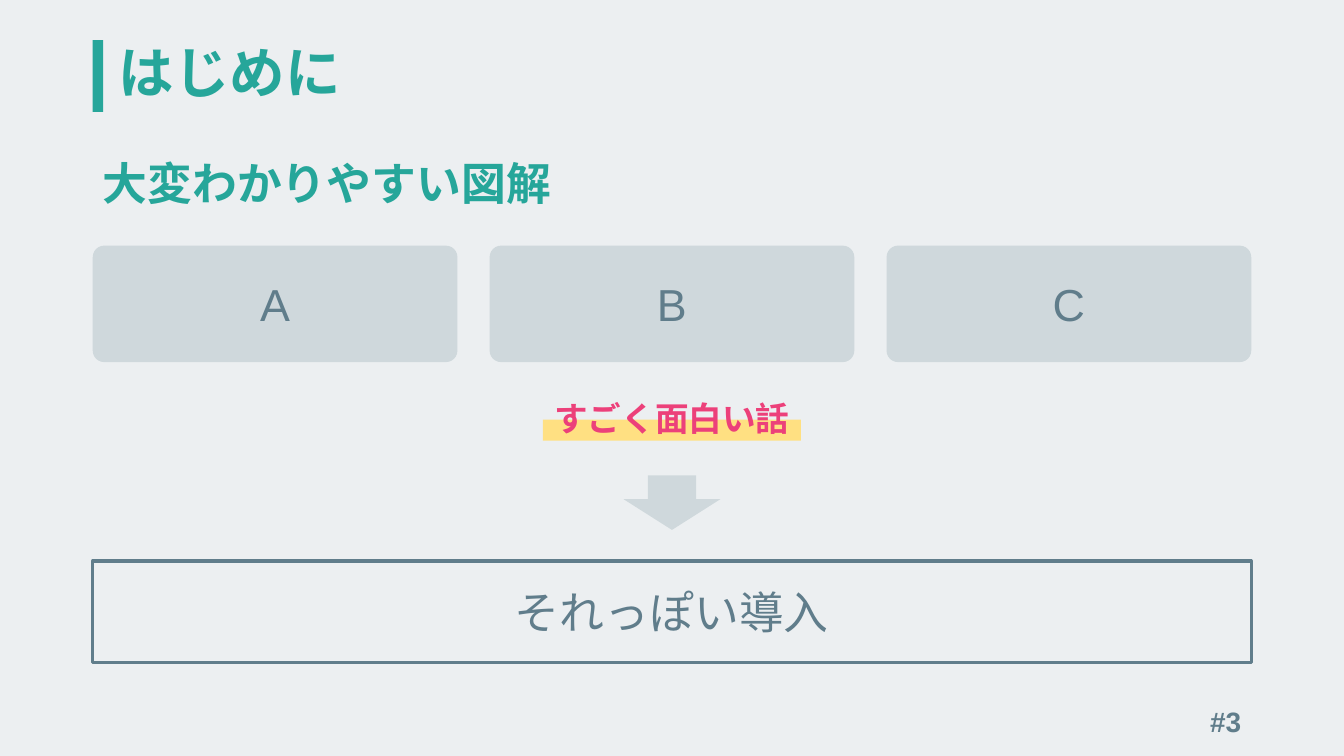
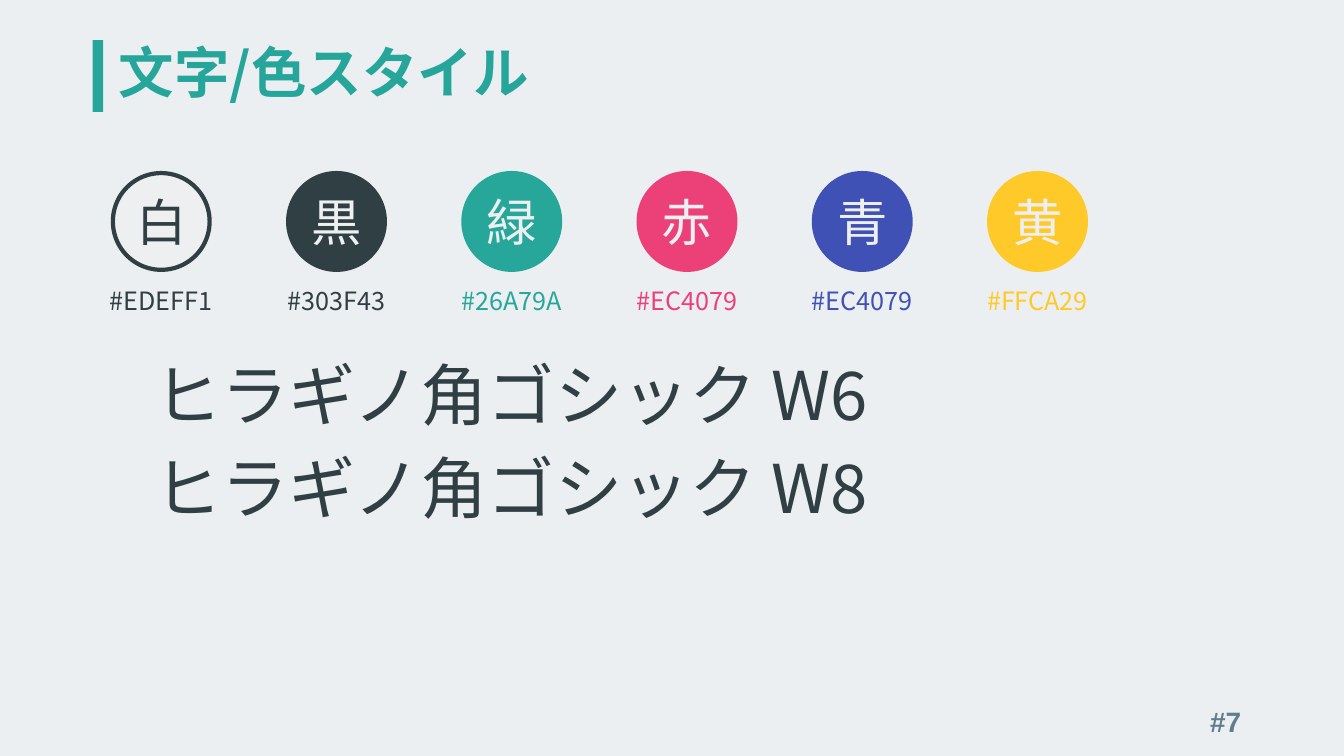
import dataclasses

import lxml.etree
import pptx
import pptx.dml.color
import pptx.enum.shapes
import pptx.enum.text
import pptx.oxml.ns
import pptx.util

SHAPE = pptx.enum.shapes.MSO_SHAPE
ALIGN = pptx.enum.text.PP_ALIGN
ANCHOR = pptx.enum.text.MSO_ANCHOR


@dataclasses.dataclass(frozen=True)
class Theme:
    # colours
    paper: str = "ECEFF1"
    accent: str = "26A69A"
    slate: str = "607D8B"
    panel: str = "CFD8DC"
    marker: str = "FFE082"
    emphasis: str = "EC407A"
    white: str = "EDEFF1"
    black: str = "303F43"
    # fonts and type sizes (points)
    latin: str = "Arial"
    japanese: str = "Noto Sans CJK JP"
    title: float = 39.6
    sample: float = 48
    swatch: float = 36
    heading: float = 32
    label: float = 24
    footer: float = 20
    caption: float = 18


THEME = Theme()
# all lengths below are percent of the slide's width or height
LEFT, CONTENT = 6.9, 86.2


def rgb(value):
    return pptx.dml.color.RGBColor.from_string(value)


def centred(width):
    return (100 - width) / 2


def put_text(tf, text, size, color, font=THEME.japanese, bold=False,
             align=ALIGN.LEFT, anchor=ANCHOR.MIDDLE, spacing=None):
    tf.word_wrap = True
    tf.vertical_anchor = anchor
    p = tf.paragraphs[0]
    p.alignment = align
    if spacing:
        p.line_spacing = spacing
    r = p.add_run()
    r.text = text
    r.font.size = pptx.util.Pt(size)
    r.font.bold = bold
    r.font.color.rgb = rgb(color)
    r.font.name = font
    # the same typeface for East Asian characters
    latin = r.font._element.find(pptx.oxml.ns.qn("a:latin"))
    ea = lxml.etree.Element(pptx.oxml.ns.qn("a:ea"))
    ea.set("typeface", font)
    latin.addnext(ea)


class Deck:
    def __init__(self, theme):
        self.theme = theme
        self.prs = pptx.Presentation()
        self.prs.slide_width = pptx.util.Inches(13.333)
        self.prs.slide_height = pptx.util.Inches(7.5)
        self.layout = self.prs.slide_layouts.get_by_name("Title Only")
        self.s = None
        self.accent_bar = None
        # shared background and title position
        fill = self.prs.slide_master.background.fill
        fill.solid()
        fill.fore_color.rgb = rgb(theme.paper)
        self.place(self.layout.placeholders[0], 8.1, 5.3, 85, 9.5)

    def area(self, x, y, w, h):
        across, down = self.prs.slide_width / 100, self.prs.slide_height / 100
        return [round(v) for v in (x * across, y * down, w * across, h * down)]

    def place(self, sp, *box):
        sp.left, sp.top, sp.width, sp.height = self.area(*box)

    def slide(self, title, number):
        t = self.theme
        self.s = self.prs.slides.add_slide(self.layout)
        if self.accent_bar is None:
            # the accent bar belongs to the layout
            self.accent_bar = self.shape(SHAPE.RECTANGLE, LEFT, 5.3, 0.78, 9.5,
                                         fill=t.accent)
            self.layout.shapes.element.append(self.accent_bar.element)
        put_text(self.s.shapes.title.text_frame, title, t.title, t.accent,
                 bold=True, spacing=0.9)
        self.text(f"#{number}", 70.6, 92.7, 22.5, 5.3, size=t.footer,
                  color=t.slate, font=t.latin, bold=True, align=ALIGN.RIGHT)

    def shape(self, kind, *box, fill=None, line=None, weight=1, adjust=()):
        sp = self.s.shapes.add_shape(kind, *self.area(*box))
        sp.shadow.inherit = False
        if fill:
            sp.fill.solid()
            sp.fill.fore_color.rgb = rgb(fill)
        else:
            sp.fill.background()
        if line:
            sp.line.color.rgb = rgb(line)
            sp.line.width = pptx.util.Pt(weight)
        else:
            sp.line.fill.background()
        for i, value in enumerate(adjust):
            sp.adjustments[i] = value
        return sp

    def text(self, text, *box, **fmt):
        sp = self.s.shapes.add_textbox(*self.area(*box))
        put_text(sp.text_frame, text, **fmt)

    def card(self, text, *box):
        t = self.theme
        sp = self.shape(SHAPE.ROUNDED_RECTANGLE, *box, fill=t.panel, adjust=[0.098])
        put_text(sp.text_frame, text, t.heading, t.slate, font=t.latin,
                 align=ALIGN.CENTER)

    def frame(self, text, *box):
        t = self.theme
        sp = self.shape(SHAPE.RECTANGLE, *box, line=t.slate, weight=2.25)
        put_text(sp.text_frame, text, t.heading, t.slate, align=ALIGN.CENTER)

    def swatch(self, name, code, x, fill, ink, text_color):
        t = self.theme
        diameter, caption = 7.2, 11.8
        sp = self.shape(SHAPE.OVAL, x, 22.9, diameter, 12.8, fill=fill,
                        line=ink, weight=3)
        tf = sp.text_frame
        tf.margin_left = tf.margin_right = tf.margin_top = tf.margin_bottom = 0
        put_text(tf, name, t.swatch, text_color, align=ALIGN.CENTER)
        self.text(code, x + (diameter - caption) / 2, 36.8, caption, 6,
                  size=t.caption, color=ink, align=ALIGN.CENTER)


def intro_slide(deck):
    t = deck.theme
    deck.slide("はじめに", 3)
    deck.text("大変わかりやすい図解", LEFT, 19.9, 35.2, 8.5, size=t.heading,
              color=t.accent, bold=True, anchor=ANCHOR.TOP)
    # three equal cards
    cards, gap = "ABC", 2.4
    width = (CONTENT - gap * (len(cards) - 1)) / len(cards)
    for i, letter in enumerate(cards):
        deck.card(letter, LEFT + i * (width + gap), 32.5, width, 15.4)
    # highlighted phrase
    width = 19.2
    deck.shape(SHAPE.RECTANGLE, centred(width), 55.5, width, 2.8, fill=t.marker)
    deck.text("すごく面白い話", centred(width), 52, width, 6.7, size=t.label,
              color=t.emphasis, bold=True, align=ALIGN.CENTER, anchor=ANCHOR.TOP)
    # arrow to the conclusion
    deck.shape(SHAPE.DOWN_ARROW, centred(7.2), 62.9, 7.2, 7.2, fill=t.panel,
               adjust=[0.5, 0.564])
    deck.frame("それっぽい導入", LEFT, 74.2, CONTENT, 13.4)


def style_slide(deck):
    t = deck.theme
    deck.slide("文字/色スタイル", 7)
    # colour swatches: name, code, fill, outline and caption, text in the circle
    swatches = [
        ("白", "#EDEFF1", t.white, t.black, t.black),
        ("黒", "#303F43", t.black, t.black, t.white),
        ("緑", "#26A79A", "26A79A", "26A79A", t.white),
        ("赤", "#EC4079", "EC4079", "EC4079", t.white),
        ("青", "#EC4079", "3F51B5", "3F51B5", t.white),
        ("黄", "#FFCA29", "FFCA29", "FFCA29", t.white),
    ]
    for i, (name, code, *colors) in enumerate(swatches):
        deck.swatch(name, code, 8.4 + i * 13.04, *colors)
    # type samples
    for i, weight in enumerate(("W6", "W8")):
        deck.text(f"ヒラギノ角ゴシック {weight}", LEFT, 45.2 + i * 12.4, 62.3, 13.6,
                  size=t.sample, color=t.black, align=ALIGN.CENTER)


def main():
    deck = Deck(THEME)
    intro_slide(deck)
    style_slide(deck)
    deck.prs.save("out.pptx")


if __name__ == "__main__":
    main()
